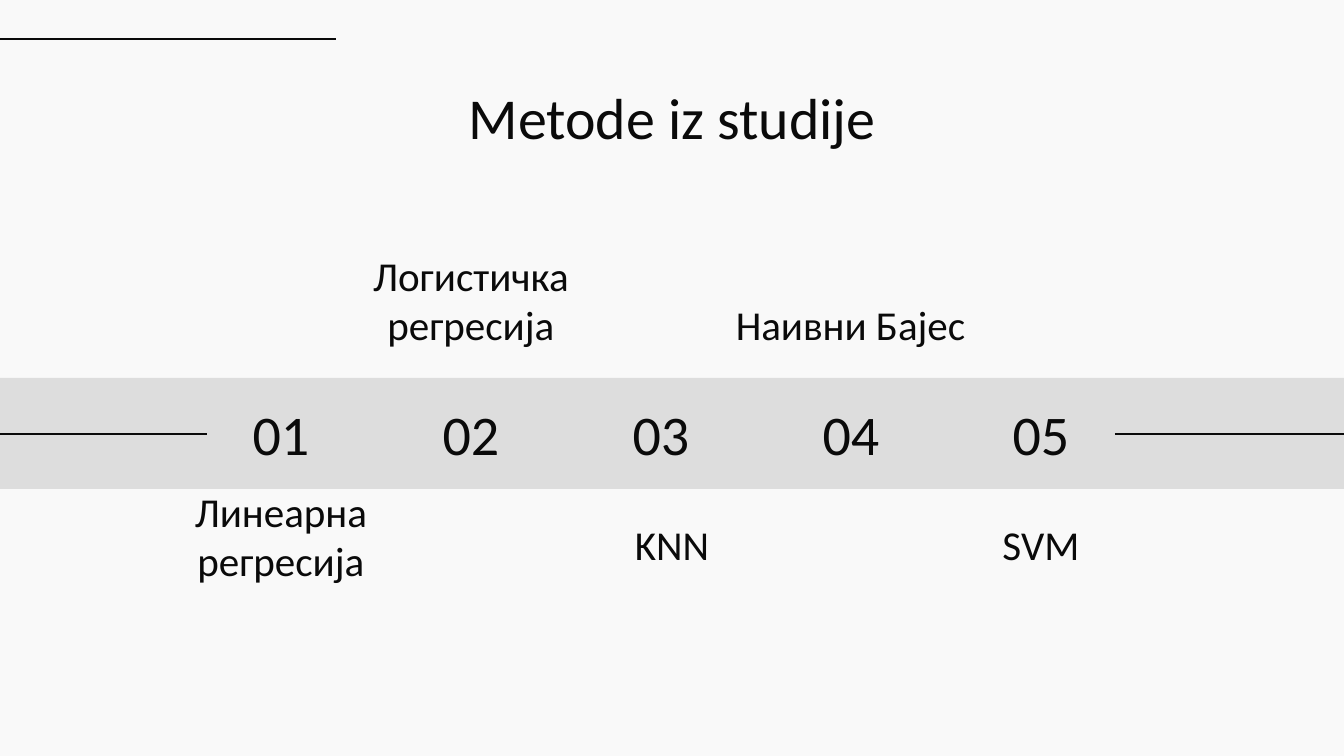
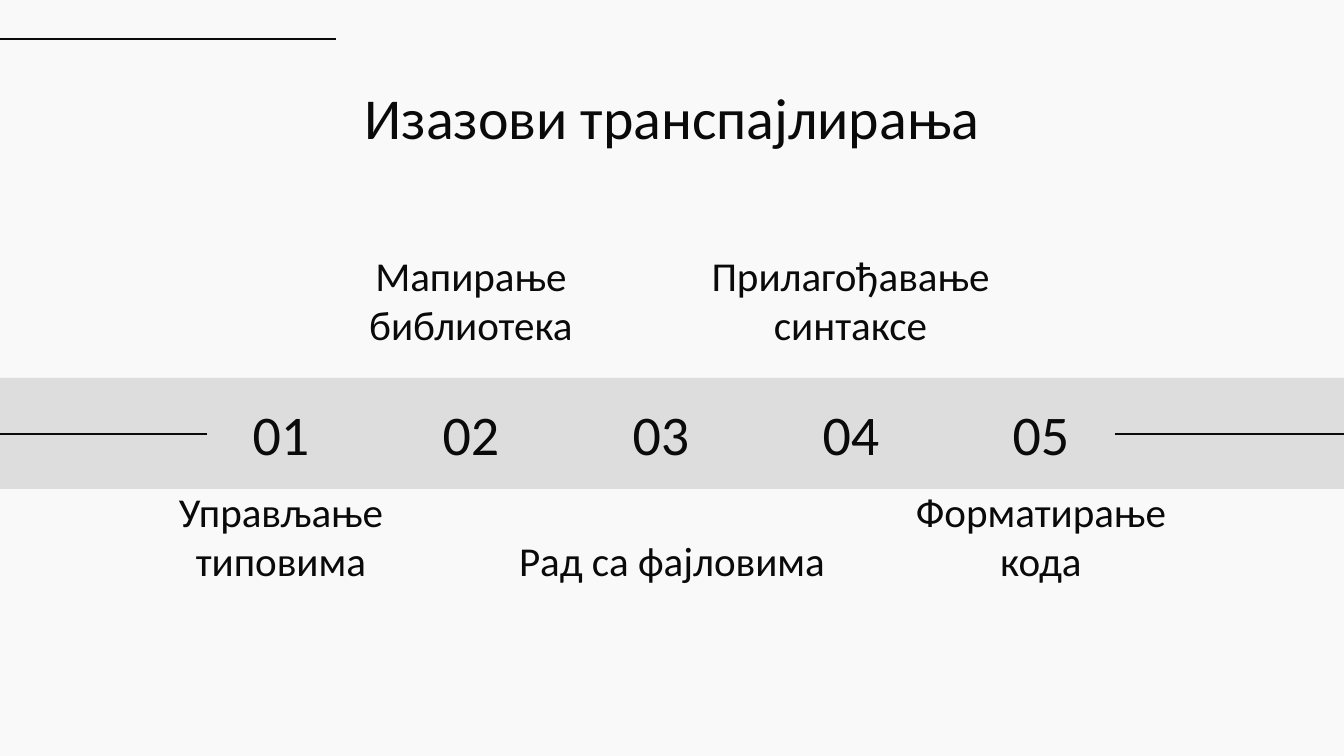
from dataclasses import dataclass

from pptx import Presentation
from pptx.dml.color import RGBColor
from pptx.enum.shapes import MSO_CONNECTOR, MSO_SHAPE
from pptx.enum.text import MSO_ANCHOR, PP_ALIGN
from pptx.oxml.ns import qn
from pptx.util import Emu, Pt

SLIDE_WIDTH, SLIDE_HEIGHT = 1344, 756
EMU_PER_PX = 9144000 / SLIDE_WIDTH


@dataclass(frozen=True)
class Theme:
    background: RGBColor = RGBColor(0xF9, 0xF9, 0xF9)
    band: RGBColor = RGBColor(0xDD, 0xDD, 0xDD)
    ink: RGBColor = RGBColor(0x0A, 0x0A, 0x0A)
    font: str = "Calibri"
    title_size: float = 31
    number_size: float = 30
    label_size: float = 22
    line_width: float = 0.75


@dataclass(frozen=True)
class Step:
    label: str
    top: int
    width: int = 352
    shift: int = 0  # sideways distance of the label from its number


THEME = Theme()
INSET = 13
RULE_Y = 434
NUMBER_LEFT, NUMBER_TOP, NUMBER_WIDTH, NUMBER_PITCH = 207, 395, 148, 190
ROW_HEIGHT = 77
ABOVE, BELOW, BELOW_RAISED = 285, 521, 505

TIMELINES = [
    ("Metode iz studije", [
        Step("Линеарна регресија", BELOW, width=332),
        Step("Логистичка регресија", ABOVE),
        Step("KNN", BELOW_RAISED, shift=11),
        Step("Наивни Бајес", ABOVE, width=257),
        Step("SVM", BELOW_RAISED),
    ]),
    ("Изазови транспајлирања", [
        Step("Управљање типовима", BELOW, width=332),
        Step("Мапирање библиотека", ABOVE),
        Step("Рад са фајловима", BELOW, shift=11),
        Step("Прилагођавање синтаксе", ABOVE, width=357),
        Step("Форматирање кода", BELOW),
    ]),
]


def px(length):
    return Emu(round(length * EMU_PER_PX))


def add_text(slide, text, left, top, width, height, *, size,
             anchor=MSO_ANCHOR.TOP, space_after=0):
    shape = slide.shapes.add_textbox(px(left), px(top), px(width), px(height))
    frame = shape.text_frame
    frame.word_wrap = True
    frame.vertical_anchor = anchor
    frame.margin_left = frame.margin_right = px(INSET)
    frame.margin_top = frame.margin_bottom = px(INSET)
    paragraph = frame.paragraphs[0]
    paragraph.alignment = PP_ALIGN.CENTER
    paragraph.space_after = Pt(space_after)
    run = paragraph.add_run()
    run.text = text
    run.font.name = THEME.font
    run.font.size = Pt(size)
    run.font.color.rgb = THEME.ink


def add_rule(slide, start, end, y):
    """Draw a thin horizontal line."""
    line = slide.shapes.add_connector(
        MSO_CONNECTOR.STRAIGHT, px(start), px(y), px(end), px(y))
    line.line.color.rgb = THEME.ink
    line.line.width = Pt(THEME.line_width)
    properties = line._element.spPr
    properties.append(properties.makeelement(qn("a:effectLst"), {}))


def add_band(slide):
    band = slide.shapes.add_shape(
        MSO_SHAPE.RECTANGLE, 0, px(378), px(SLIDE_WIDTH), px(111))
    band.shadow.inherit = False
    band.fill.solid()
    band.fill.fore_color.rgb = THEME.band
    band.line.fill.background()
    add_rule(slide, 0, NUMBER_LEFT, RULE_Y)
    add_rule(slide, 1115, SLIDE_WIDTH, RULE_Y)


def add_step(slide, index, step):
    left = NUMBER_LEFT + index * NUMBER_PITCH
    add_text(slide, f"{index + 1:02}", left, NUMBER_TOP, NUMBER_WIDTH, ROW_HEIGHT,
             size=THEME.number_size, anchor=MSO_ANCHOR.MIDDLE, space_after=16)
    label_left = left + (NUMBER_WIDTH - step.width) // 2 + step.shift
    add_text(slide, step.label, label_left, step.top, step.width, ROW_HEIGHT,
             size=THEME.label_size, anchor=MSO_ANCHOR.BOTTOM, space_after=16)


def add_timeline_slide(presentation, title, steps):
    slide = presentation.slides.add_slide(presentation.slide_layouts[6])
    slide.background.fill.solid()
    slide.background.fill.fore_color.rgb = THEME.background
    add_rule(slide, 0, 336, 39)
    add_band(slide)
    add_text(slide, title, 105, 69, 1134, 81, size=THEME.title_size)
    for index, step in enumerate(steps):
        add_step(slide, index, step)


def main():
    presentation = Presentation()
    presentation.slide_width = px(SLIDE_WIDTH)
    presentation.slide_height = px(SLIDE_HEIGHT)
    for title, steps in TIMELINES:
        add_timeline_slide(presentation, title, steps)
    presentation.save("out.pptx")


if __name__ == "__main__":
    main()
